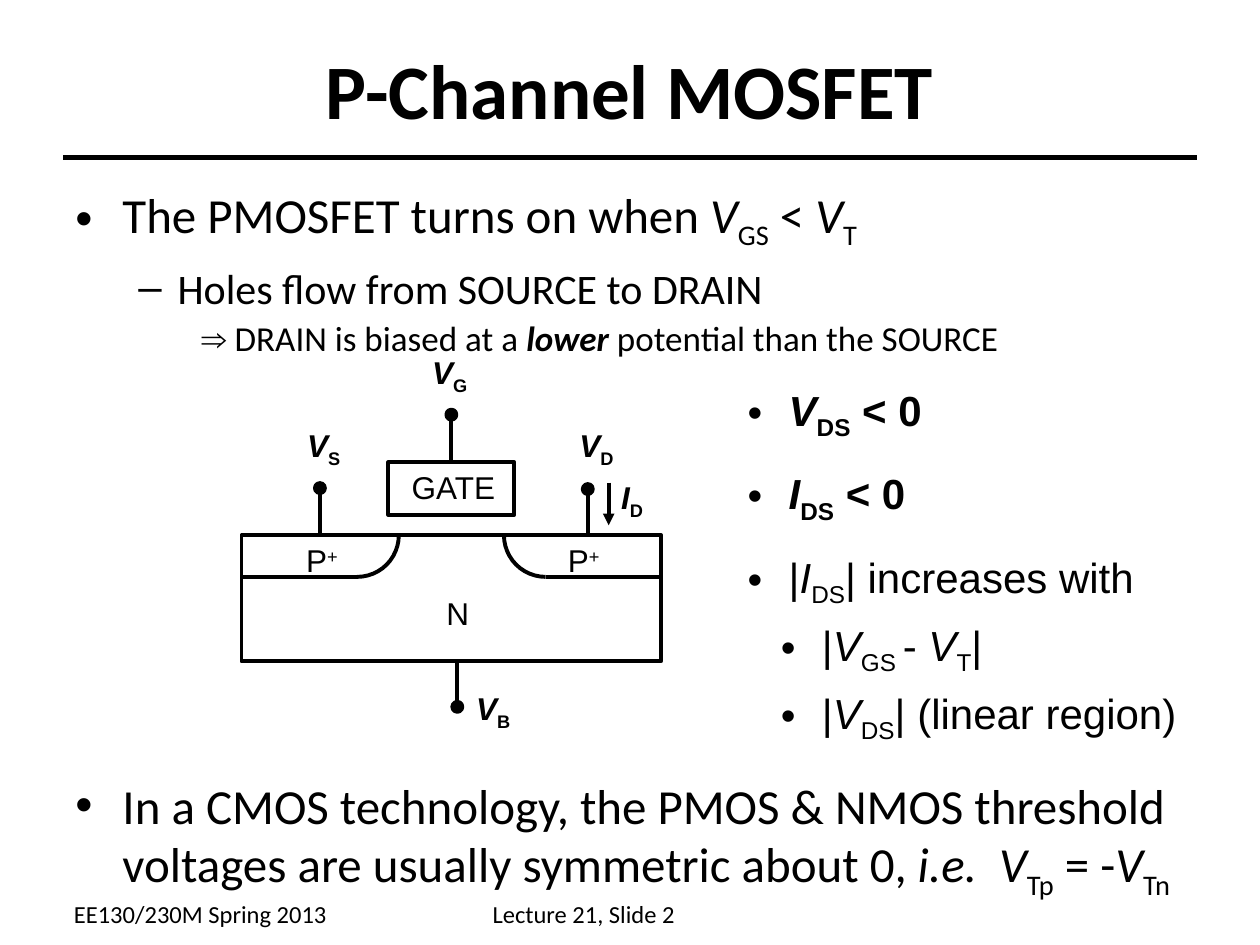
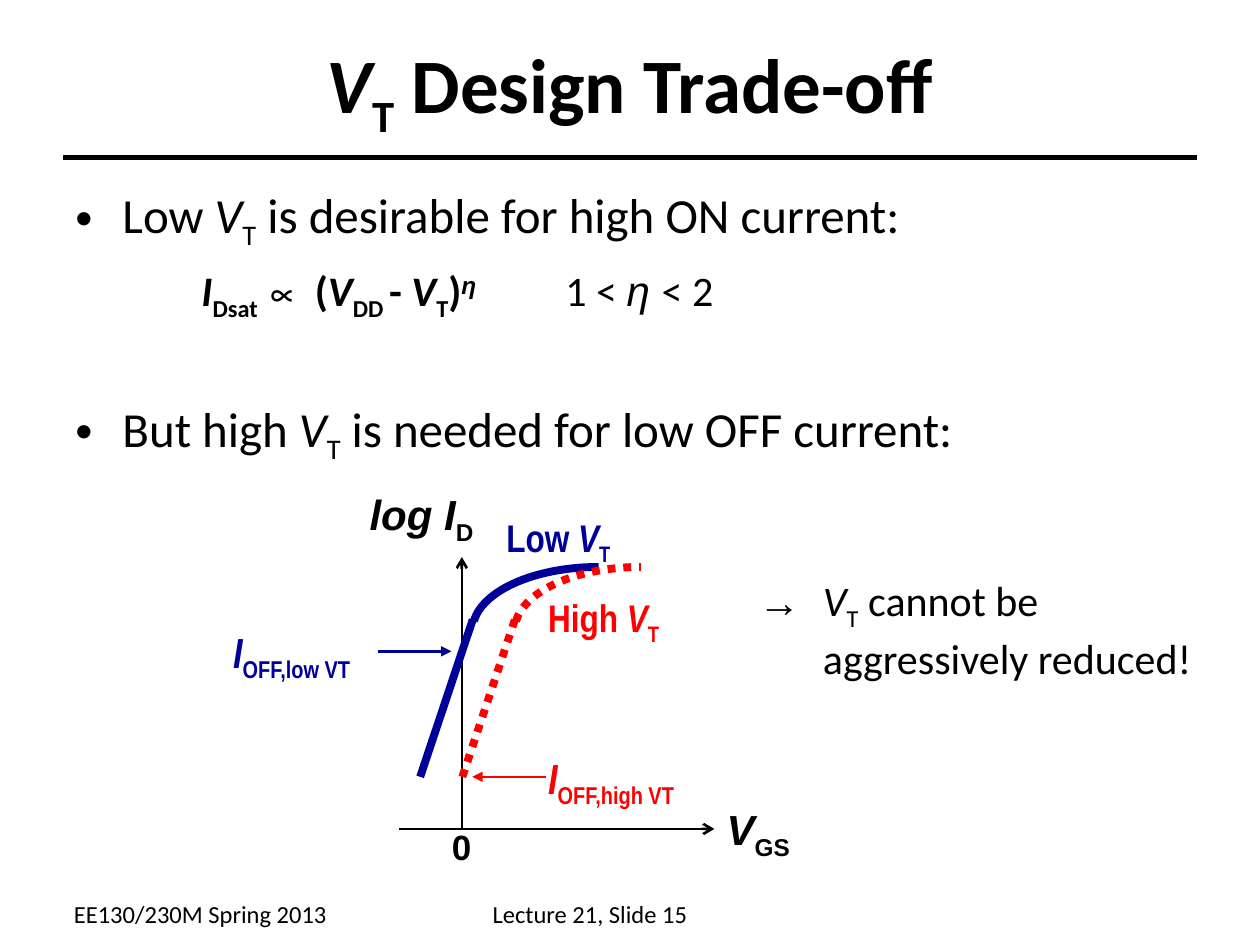
from lxml.etree import SubElement as Sub
from pptx import Presentation
from pptx.dml.color import RGBColor as RGB
from pptx.enum.dml import MSO_LINE as Dash
from pptx.enum.shapes import MSO_CONNECTOR as Conn, MSO_SHAPE as Kind
from pptx.enum.text import MSO_ANCHOR as Anchor, PP_ALIGN as Align
from pptx.oxml.ns import qn
from pptx.util import Cm, Pt

HUES = {"ink": "000000", "low": "000099", "high": "FF0000"}
COURSE = "EE130/230M Spring 2013"
BODY = (1.27, 3.6, 22.86)  # left, top and width of the main text
BULLET = dict(size=28, gap=7, left=0.95, hang=0.95, mark="•")


def sym(name, index):
    """Runs for an italic symbol with an upright subscript."""
    return [(name, "i"), (index, "_")]


class Deck:
    """The common style and the slide being drawn."""

    def __init__(self):
        self.prs = Presentation()
        self.prs.slide_width, self.prs.slide_height = Cm(25.4), Cm(19.05)
        self.shapes = None

    def page(self, title, number):
        """Start a slide with its title, rule and footers."""
        blank = self.prs.slide_layouts[6]
        self.shapes = self.prs.slides.add_slide(blank).shapes
        self.line(1.27, 3.18, 24.13, 3.18, width=3)
        head = self.frame(1.27, 0.2, 22.86, 3.18)
        head.vertical_anchor = Anchor.MIDDLE
        self.para(head, title, 44, bold=True).alignment = Align.CENTER
        for x, w, words in ((1.24, 5.61, COURSE), (9.68, 6.02, f"Lecture 21, Slide {number}")):
            self.para(self.frame(x, 17.99, w, 0.86), [words], 14)

    def frame(self, x, y, w, h, wrap=True):
        frame = self.shapes.add_textbox(Cm(x), Cm(y), Cm(w), Cm(h)).text_frame
        frame.word_wrap = wrap
        return frame

    def para(self, frame, runs, size, font="Calibri", hue="ink", bold=False,
             gap=0, left=0, hang=0, mark=None):
        """Add a paragraph. A run is text, or text with marks:
        b bold, i italic, a Arial, _ subscript, ^ superscript."""
        para = frame.paragraphs[0]
        if para.runs:
            para = frame.add_paragraph()
        para.space_before = Pt(gap)
        props = para._p.get_or_add_pPr()
        props.set("marL", str(Cm(left)))
        props.set("indent", str(Cm(-hang)))
        if mark:
            Sub(props, qn("a:buFont")).set("typeface", "Arial")
            Sub(props, qn("a:buChar")).set("char", mark)
        for item in runs:
            words, marks = (item, "") if isinstance(item, str) else item
            run = para.add_run()
            run.text = words
            style = run.font
            style.name = "Arial" if "a" in marks else font
            style.size = Pt(size)
            style.bold = bold or "b" in marks
            style.italic = "i" in marks
            style.color.rgb = RGB.from_string(HUES[hue])
            for key, shift in (("_", "-25000"), ("^", "30000")):
                if key in marks:
                    run._r.get_or_add_rPr().set("baseline", shift)
        return para

    def label(self, x, y, w, h, runs, size=18, font="Arial", wrap=True, **style):
        self.para(self.frame(x, y, w, h, wrap), runs, size, font, **style)

    def pen(self, line, hue, width, dash=None):
        line.color.rgb = RGB.from_string(HUES[hue])
        line.width = Pt(width)
        if dash:
            line.dash_style = dash

    def line(self, x1, y1, x2, y2, hue="ink", width=2.25, dash=None, tip=None):
        """Draw a straight line; tip names the arrowhead at its end."""
        line = self.shapes.add_connector(Conn.STRAIGHT, Cm(x1), Cm(y1), Cm(x2), Cm(y2))
        self.pen(line.line, hue, width, dash)
        if tip:
            Sub(line.line._get_or_add_ln(), qn("a:tailEnd")).set("type", tip)
        Sub(line._element.spPr, qn("a:effectLst"))
        return line

    def shape(self, kind, x, y, w, h, hue="ink", width=2.25, dash=None, solid=False):
        shape = self.shapes.add_shape(kind, Cm(x), Cm(y), Cm(w), Cm(h))
        shape.shadow.inherit = False
        if solid:
            shape.fill.solid()
            shape.fill.fore_color.rgb = RGB.from_string(HUES[hue])
        else:
            shape.fill.background()
        self.pen(shape.line, hue, width, dash)
        return shape

    def arc(self, x, y, rx, ry, start, end, **style):
        """Draw part of an ellipse about x, y; angles in degrees, clockwise."""
        arc = self.shape(Kind.ARC, x - rx, y - ry, 2 * rx, 2 * ry, **style)
        for n, angle in enumerate((start, end)):
            arc.adjustments[n] = angle * 0.6

    def pin(self, x, base, end):
        """Draw a terminal: a lead with a dot at its end."""
        lead = self.line(x, base, x, end)
        self.shape(Kind.OVAL, x - 0.1, end - 0.1, 0.2, 0.2, solid=True)
        return lead


def device(deck):
    """Draw the cross-section of the transistor."""
    left, top, wide, tall = 4.87, 10.79, 8.46, 2.54
    deck.shape(Kind.RECTANGLE, left, top, wide, tall)
    gate = deck.shape(Kind.RECTANGLE, 7.83, 9.32, 2.54, 1.06)
    r = 0.84
    for edge, x, start, tag in ((left, 7.2, 0, 5.92), (left + wide, 11, 90, 11.2)):
        deck.arc(x, top, r, r, start, start + 90)
        deck.line(x, top + r, edge, top + r)
        deck.label(tag, top, 1.5, 1.02, ["P", ("+", "^")])
    deck.label(8.75, 11.86, 1.2, 1.02, ["N"])
    deck.label(8.05, 9.32, 2.5, 1.02, ["GATE"])
    deck.pin(9.1, 9.32, 8.36).begin_connect(gate, 0)
    for x, base, end in ((6.45, top, 9.84), (11.85, top, 9.86), (9.22, top + tall, 14.25)):
        deck.pin(x, base, end)
    for x, y, name, index in ((5.94, 8.46, "V", "S"), (11.43, 8.46, "V", "D"),
                              (8.46, 6.99, "V", "G"), (9.35, 13.77, "V", "B"),
                              (12.27, 9.52, "I", "D")):
        deck.label(x, y, 1.6, 1.12, sym(name, index), bold=True)
    deck.line(12.27, 9.73, 12.27, 10.59, tip="triangle")


def channel(deck):
    deck.page(["P-Channel MOSFET"], 2)
    body = deck.frame(*BODY, 3.6)
    deck.para(body, ["The PMOSFET turns on when ", *sym("V", "GS"), " < ", *sym("V", "T")],
              **BULLET)
    deck.para(body, ["Holes flow from SOURCE to DRAIN"], 24, gap=6, left=2.06, hang=0.79,
              mark="–")
    deck.para(body, [("⇒", "a"), " DRAIN is biased at a ", ("lower", "bi"),
                     " potential than the SOURCE"], 20, gap=5, left=3.18,
              hang=0.64).line_spacing = 0.9
    device(deck)
    facts = deck.frame(14.82, 7.62, 9.73, 7.52)
    for runs, bold, gap, left in (
            ([*sym("V", "DS"), " < 0"], True, 15, 0.83),
            ([*sym("I", "DS"), " < 0"], True, 15, 0.83),
            (["|", *sym("I", "DS"), "| increases with"], False, 15, 0.83),
            (["|", *sym("V", "GS "), "- ", *sym("V", "T"), "|"], False, 6, 1.5),
            (["|", *sym("V", "DS"), "| (linear region)"], False, 6, 1.5)):
        deck.para(facts, runs, 24, "Arial", bold=bold, gap=gap, left=left, hang=0.83,
                  mark="•")
    x, _, w = BODY
    deck.para(deck.frame(x, 15.5, w, 2.7),
              ["In a CMOS technology, the PMOS & NMOS threshold voltages are usually "
               "symmetric about 0, ", ("i.e.  ", "i"), *sym("V", "Tp"), " = -",
               *sym("V", "Tn")], **BULLET)


def graph(deck):
    """Draw log drain current against gate voltage for two thresholds."""
    deck.line(9.31, 16.71, 9.31, 11.23, width=1.5, tip="arrow")
    deck.line(8.05, 16.71, 14.4, 16.71, width=1.5, tip="arrow")
    for x, hue, dash in ((8.47, "low", None), (9.32, "high", Dash.ROUND_DOT)):
        style = dict(hue=hue, width=4.5, dash=dash)
        knee = x + 1.06
        deck.line(x, 15.66, knee, 12.49, **style)
        deck.arc(knee + 2.54, 12.7, 2.54, 1.27, 184, 270, **style)
    for x, y, w, runs, size, hue in (
            (9.96, 10.24, 2.74, ["Low ", *sym("V", "T")], 22, "low"),
            (10.8, 11.86, 2.97, ["High ", *sym("V", "T")], 22, "high"),
            (10.8, 15.04, 3.6, sym("I", "OFF,high VT"), 24, "high"),
            (4.45, 12.5, 3.38, sym("I", "OFF,low VT"), 24, "low")):
        deck.label(x, y, w, 1.4, runs, size, "Arial Narrow", hue=hue, bold=True,
                   gap=size * 0.625)
    deck.line(7.62, 13.13, 9.1, 13.13, "low", 1.5, tip="triangle")
    deck.line(11, 15.66, 9.52, 15.66, "high", 1.5, tip="triangle")
    for x, y, w, runs in ((14.4, 16.08, 1.9, sym("V", "GS")),
                          (7.2, 9.73, 3.18, sym("log I", "D"))):
        deck.label(x, y, w, 1.42, runs, 24, bold=True, gap=15)
    deck.label(8.86, 16.51, 0.89, 1.12, ["0"], 20, wrap=False, bold=True)


def trade(deck):
    deck.page([*sym("V", "T"), " Design Trade-off"], 15)
    body = deck.frame(*BODY, 13.41)
    deck.para(body, ["Low ", *sym("V", "T"), " is desirable for high ON current:"], **BULLET)
    deck.para(body, [*sym("I", "Dsat "), ("∝", "a"), " (", *sym("V", "DD "), "- ",
                     *sym("V", "T"), ")", ("η", "ia^")], 24, bold=True, gap=7.5,
              left=3.18, hang=0.64)
    deck.para(body, ["But high ", *sym("V", "T"), " is needed for low OFF current:"],
              **{**BULLET, "gap": 43.7})
    deck.label(11.15, 5.2, 4.2, 1.2, ["1 < ", ("η ", "ia"), "< 2"], 24, "Calibri")
    deck.label(15.04, 11.46, 9.96, 2.44, [*sym("V", "T"), " cannot be aggressively reduced!"],
               24, "Calibri", left=1.3, hang=1.3, mark="→")
    graph(deck)


def main():
    deck = Deck()
    channel(deck)
    trade(deck)
    deck.prs.save("out.pptx")


if __name__ == "__main__":
    main()
